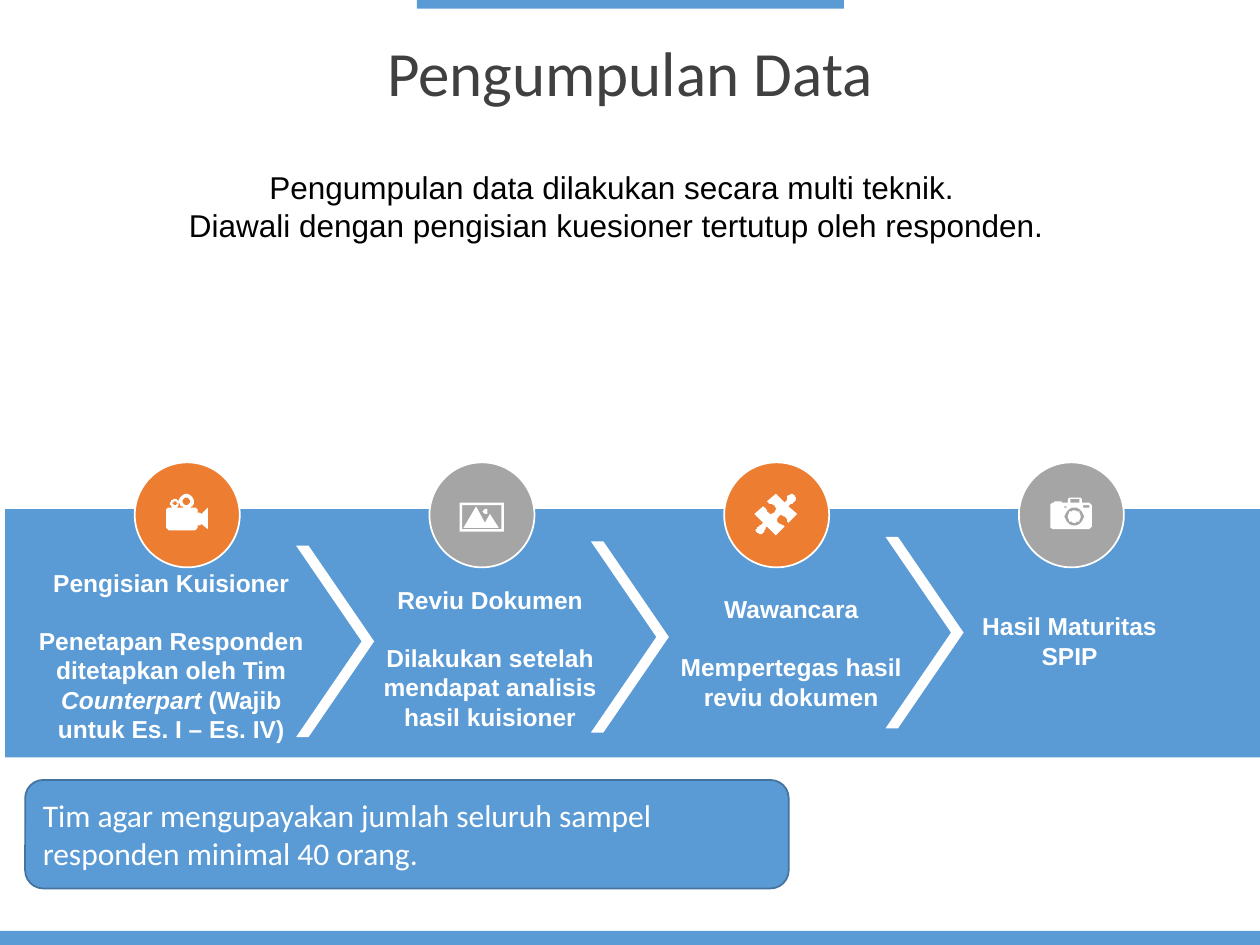
"""Build the data collection slide."""
from dataclasses import dataclass
from math import cos, pi, sin

from lxml import etree
from pptx import Presentation
from pptx.dml.color import RGBColor
from pptx.enum import shapes, text
from pptx.util import Pt

SHAPE = shapes.MSO_SHAPE
MIDDLE = text.MSO_ANCHOR.MIDDLE
CENTER, LEFT = text.PP_ALIGN.CENTER, text.PP_ALIGN.LEFT


@dataclass(frozen=True)
class Theme:
    """Colours, fonts and type sizes of the slide."""
    blue: str = "5B9BD5"
    edge: str = "43739E"
    orange: str = "ED7D31"
    gray: str = "A5A5A5"
    white: str = "FFFFFF"
    black: str = "000000"
    heading: str = "404040"
    title_font: str = "Calibri"
    body_font: str = "Arial"
    title_size: float = 36
    body_size: float = 18
    label_size: float = 14


THEME = Theme()


@dataclass(frozen=True)
class Box:
    """A rectangle in points."""
    left: float
    top: float
    width: float
    height: float

    def inside(self, left, top, width, height):
        """Return a box offset from this one."""
        return Box(self.left + left, self.top + top, width, height)

    def lengths(self):
        """Return the four lengths for python-pptx."""
        return [Pt(value) for value in (self.left, self.top, self.width, self.height)]


def apply(target, formats):
    """Set attributes from a dict of format values."""
    for name, value in formats.items():
        setattr(target, name, value)


def paint(shape, fill, line=None):
    """Give a shape a flat fill and an optional one point line."""
    shape.shadow.inherit = False
    shape.fill.solid()
    shape.fill.fore_color.rgb = RGBColor.from_string(fill)
    if line:
        shape.line.color.rgb = RGBColor.from_string(line)
        shape.line.width = Pt(1)
    else:
        shape.line.fill.background()


def add_block(slide, kind, box, fill, line=None):
    """Add a painted preset shape."""
    shape = slide.shapes.add_shape(kind, *box.lengths())
    paint(shape, fill, line)
    return shape


def write(shape, paragraphs, font, color, align=CENTER, gap=0, **paragraph_format):
    """Write paragraphs, each a list of (words, run format) pairs."""
    frame = shape.text_frame
    apply(frame, {"word_wrap": True, "vertical_anchor": MIDDLE})
    for index, runs in enumerate(paragraphs):
        paragraph = frame.add_paragraph() if index else frame.paragraphs[0]
        apply(paragraph, {"alignment": align, "space_before": Pt(gap if index else 0),
                          **paragraph_format})
        for words, extra in runs:
            run = paragraph.add_run()
            run.text = words
            apply(run.font, {**font, **extra})
            run.font.color.rgb = RGBColor.from_string(color)


def rectangle(left, top, right, bottom):
    """Return a rectangular contour."""
    return [(left, top), (right, top), (right, bottom), (left, bottom)]


def circle(x, y, radius, steps=24):
    """Return a round contour."""
    angles = [2 * pi * step / steps for step in range(steps)]
    return [(x + radius * cos(angle), y + radius * sin(angle)) for angle in angles]


def flatten(contour, steps=6):
    """Turn cubic segments of six numbers into short straight ones."""
    points = [contour[0]]
    for segment in contour[1:]:
        if len(segment) == 2:
            points.append(segment)
            continue
        controls = [points[-1], segment[:2], segment[2:4], segment[4:]]
        for t in (step / steps for step in range(1, steps + 1)):
            weights = ((1 - t) ** 3, 3 * t * (1 - t) ** 2, 3 * t * t * (1 - t), t ** 3)
            points.append(tuple(sum(weight * control[axis]
                                    for weight, control in zip(weights, controls))
                                for axis in (0, 1)))
    return points


FILM = [circle(32, 32.5, 1.6), circle(41, 31, 3), [
    (41, 25), (44, 25, 47, 28, 47, 31), (47, 33, 46, 35, 44, 36), (48, 36),
    (49, 36, 50, 37, 50, 39), (50, 40), (52, 40), (53, 41), (58, 36), (58, 53),
    (53, 49), (52, 50), (50, 50), (50, 51), (50, 52, 49, 54, 48, 54), (28, 54),
    (26, 54, 25, 52, 25, 51), (25, 39), (25, 37, 26, 36, 28, 36), (30, 36),
    (29, 35, 28, 34, 28, 33), (28, 31, 30, 29, 32, 29), (34, 29, 35, 31, 35, 33),
    (35, 34, 35, 35, 33, 36), (39, 36), (37, 35, 35, 33, 35, 31),
    (35, 28, 38, 25, 41, 25)]]
PHOTO = [rectangle(24, 32, 59, 55), rectangle(26, 34, 57, 53), circle(44.5, 39, 2),
         [(37, 35), (44, 48), (48, 41), (55, 52), (27, 52)]]
PUZZLE = [[
    (56, 26), (57, 28, 58, 30, 56, 31), (55, 33, 53, 32, 51, 35), (58, 41), (51, 48),
    (49, 46, 50, 44, 48, 43), (46, 42, 44, 42, 43, 43), (42, 44, 41, 47, 43, 48),
    (45, 50, 46, 49, 48, 51), (41, 58), (34, 51), (32, 53, 33, 54, 31, 56),
    (30, 58, 27, 57, 26, 56), (25, 55, 25, 53, 26, 52), (28, 50, 29, 51, 31, 48),
    (24, 41), (31, 35), (34, 36, 33, 38, 35, 40), (36, 41, 38, 41, 40, 40),
    (41, 38, 41, 36, 40, 34), (37, 33, 37, 34, 34, 31), (41, 25), (48, 32),
    (51, 29, 49, 29, 51, 26), (53, 25, 55, 25, 56, 26)]]
CAMERA = [circle(44, 43, 7.5), circle(44, 43, 5), rectangle(36, 35, 38, 36),
          rectangle(51, 34, 56, 36), rectangle(41, 29, 48, 32), [
    (40, 28), (49, 28), (50, 29), (50, 32), (55, 32), (56, 32, 58, 33, 58, 35),
    (58, 50), (58, 52, 56, 53, 55, 53), (27, 53), (26, 53, 25, 52, 25, 50), (25, 35),
    (25, 33, 26, 32, 27, 32), (28, 32), (28, 31), (34, 31), (34, 32), (39, 32), (39, 29)]]

STAGES = [
    (THEME.orange, FILM, (11.4, 28.7, 167, 110), [
        [("Pengisian Kuisioner", {})],
        [("Penetapan Responden ditetapkan oleh Tim ", {}),
         ("Counterpart ", {"italic": True}), ("(Wajib untuk Es. I – Es. IV)", {})]]),
    (THEME.gray, PHOTO, (208.7, 38.8, 136.8, 92.2), [
        [("Reviu Dokumen", {})],
        [("Dilakukan setelah mendapat analisis hasil kuisioner", {})]]),
    (THEME.orange, PUZZLE, (375, 44.5, 148.3, 75), [
        [("Wawancara", {})], [("Mempertegas hasil reviu dokumen", {})]]),
    (THEME.gray, CAMERA, (547, 54.6, 122.4, 41), [[("Hasil Maturitas SPIP", {})]]),
]


def add_icon(slide, box, contours):
    """Draw an icon whose contours use hundredths of an inch inside the box."""
    first, *others = [flatten(contour) for contour in contours]
    builder = slide.shapes.build_freeform(*first[0], scale=Pt(0.72))
    builder.add_line_segments(first[1:])
    for points in others:
        builder.move_to(*points[0])
        builder.add_line_segments(points[1:])
    paint(builder.convert_to_shape(Pt(box.left), Pt(box.top)), THEME.white)


def add_header(slide, box):
    """Place the top accent bar and the title."""
    add_block(slide, SHAPE.RECTANGLE, box.inside(238.3, 0, 244, 5), THEME.blue)
    title = slide.shapes.title
    apply(title, dict(zip(("left", "top", "width", "height"),
                          box.inside(0, 13, box.width, 60.5).lengths())))
    write(title, [[("Pengumpulan Data", {})]],
          {"name": THEME.title_font, "size": Pt(THEME.title_size)}, THEME.heading,
          line_spacing=0.9, space_before=Pt(7.5))


def add_introduction(slide, box):
    """Place the two introductory lines."""
    lines = ("Pengumpulan data dilakukan secara multi teknik. ",
             "Diawali dengan pengisian kuesioner tertutup oleh responden.")
    write(slide.shapes.add_textbox(*box.lengths()), [[(line, {})] for line in lines],
          {"name": THEME.body_font, "size": Pt(THEME.body_size)}, THEME.black)


def add_process(slide, box):
    """Place the band with its stages, icons and chevrons."""
    add_block(slide, SHAPE.RECTANGLE, box, THEME.blue)
    font = {"name": THEME.body_font, "size": Pt(THEME.label_size), "bold": True}
    for index, (color, icon, label, paragraphs) in enumerate(STAGES):
        shift = 168.4 * index
        badge = box.inside(74 + shift, -26.8, 60, 60)
        add_block(slide, SHAPE.OVAL, badge, color, THEME.white)
        add_icon(slide, badge, icon)
        if index < len(STAGES) - 1:
            chevron = box.inside(166.2 + shift, 20.8 - 2.5 * index, 44.6, 109.4)
            add_block(slide, SHAPE.CHEVRON, chevron, THEME.white).adjustments[0] = 0.84
        write(slide.shapes.add_textbox(*box.inside(*label).lengths()), paragraphs,
              font, THEME.white, gap=16.5)


def add_note(slide, box):
    """Place the rounded note on the sample size."""
    note = add_block(slide, SHAPE.ROUNDED_RECTANGLE, box, THEME.blue, THEME.edge)
    words = "Tim agar mengupayakan jumlah seluruh sampel responden minimal 40 orang."
    write(note, [[(words, {})]],
          {"name": THEME.title_font, "size": Pt(THEME.body_size)}, THEME.white, LEFT)


presentation = Presentation()
apply(presentation, {"slide_width": Pt(720), "slide_height": Pt(540)})
slide = presentation.slides.add_slide(presentation.slide_layouts[5])
add_header(slide, Box(0, 0, 720, 74))
add_block(slide, SHAPE.RECTANGLE, Box(0, 532, 720, 8), THEME.blue)
add_introduction(slide, Box(31.7, 92.2, 640.8, 51))
add_process(slide, Box(3, 291, 717, 141.8))
add_note(slide, Box(14.4, 445.7, 436.3, 62))
presentation.save("out.pptx")
